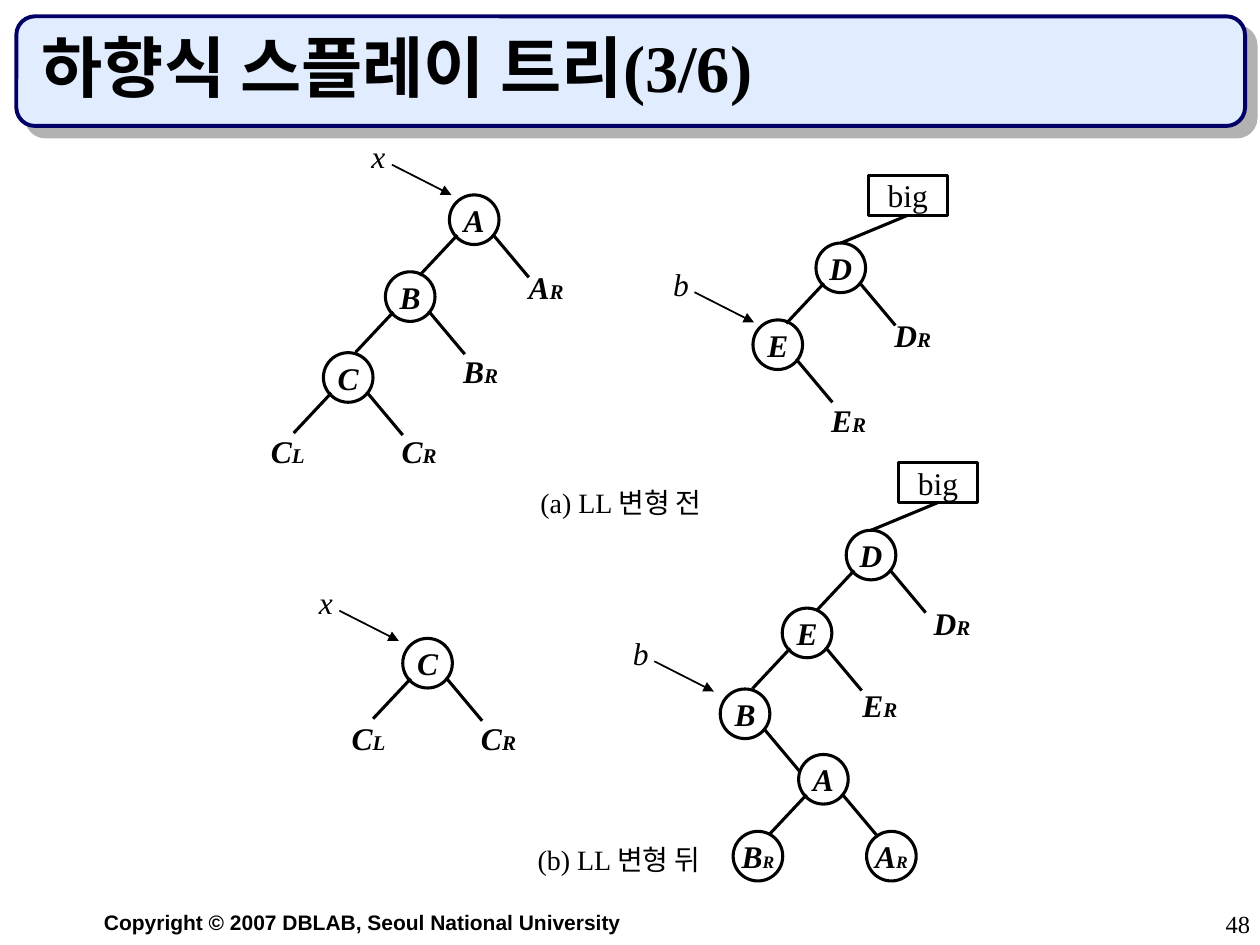
"""Build the slide on the LL rotation of a top-down splay tree."""
import dataclasses

import pptx
import pptx.dml.color
import pptx.enum.shapes
import pptx.enum.text
import pptx.oxml
import pptx.oxml.ns
import pptx.util

Cm = pptx.util.Cm
Pt = pptx.util.Pt
RGB = pptx.dml.color.RGBColor
Shape = pptx.enum.shapes.MSO_SHAPE
Align = pptx.enum.text.PP_ALIGN
Anchor = pptx.enum.text.MSO_ANCHOR
NAMESPACE = pptx.oxml.ns.nsdecls("a")


@dataclasses.dataclass(frozen=True)
class Theme:
    ink: RGB = RGB(0, 0, 0)
    banner: RGB = RGB(0xE1, 0xEC, 0xFF)
    border: RGB = RGB(0, 0, 0x66)
    shadow: str = "B2B2B2"
    serif: str = "Times New Roman"
    sans: str = "Arial"
    title: int = 38
    label: int = 18
    caption: int = 16
    number: int = 14
    small: int = 12
    tiny: int = 10
    edge: float = 1.75
    arrow: float = 1
    frame: float = 2.25


theme = Theme()
deck = pptx.Presentation()
deck.slide_width, deck.slide_height = Cm(25.4), Cm(19.05)
page = deck.slides.add_slide(deck.slide_layouts[6])


def write(box, spans, align=Align.CENTER, anchor=Anchor.MIDDLE, inset=0, wrap=False, **font):
    """Put (text, size) spans in a box with one font style."""
    frame = box.text_frame
    layout = {"word_wrap": wrap, "vertical_anchor": anchor}
    layout |= {f"margin_{side}": Cm(inset) for side in ("left", "right", "top", "bottom")}
    for name, value in layout.items():
        setattr(frame, name, value)
    para = frame.paragraphs[0]
    para.alignment = align
    for text, size in spans:
        span = para.add_run()
        span.text = text
        for name, value in ({"name": theme.serif, "size": Pt(size)} | font).items():
            setattr(span.font, name, value)
        span.font.color.rgb = theme.ink


def connect(x1, y1, x2, y2, width=theme.edge):
    """Draw a plain straight line and return it."""
    line = page.shapes.add_connector(
        pptx.enum.shapes.MSO_CONNECTOR.STRAIGHT, Cm(x1), Cm(y1), Cm(x2), Cm(y2))
    line.line.color.rgb = theme.ink
    line.line.width = Pt(width)
    line._element.spPr.append(pptx.oxml.parse_xml(f"<a:effectLst {NAMESPACE}/>"))
    return line


banner = page.shapes.add_shape(Shape.ROUNDED_RECTANGLE, Cm(0.33), Cm(0.33), Cm(24.77), Cm(2.21))
banner.adjustments[0] = 0.17
banner.fill.solid()
banner.fill.fore_color.rgb = theme.banner
banner.line.color.rgb = theme.border
banner.line.width = Pt(theme.frame)
banner.shadow.inherit = False
effects = banner._element.spPr.find(pptx.oxml.ns.qn("a:effectLst"))
effects.append(pptx.oxml.parse_xml(
    f'<a:outerShdw {NAMESPACE} blurRad="0" dist="{Pt(8.5)}" dir="2700000" algn="ctr" '
    f'rotWithShape="0"><a:srgbClr val="{theme.shadow}"/></a:outerShdw>'))

title = page.shapes.add_textbox(Cm(0.64), Cm(0.64), Cm(23.93), Cm(1.7))
write(title, [("하향식 스플레이 트리(3/6)", theme.title)], Align.LEFT, Anchor.BOTTOM, 0.2, True, bold=True)
footer = page.shapes.add_textbox(Cm(0.64), Cm(18.21), Cm(13.34), Cm(0.76))
write(footer, [("Copyright © 2007 DBLAB, Seoul National University", theme.small)],
      wrap=True, name=theme.sans, bold=True)
number = page.shapes.add_textbox(Cm(20.12), Cm(18.21), Cm(5.28), Cm(0.84))
write(number, [("48", theme.number)], Align.RIGHT, inset=0.2, wrap=True)

nodes = [
    ("A", 9.56, 4.43, "LR"), ("B", 8.27, 5.98, "LR"), ("C", 7.02, 7.61, "LR"),
    ("D", 16.95, 5.4, "LR"), ("E", 15.68, 6.95, "R"),
    ("C", 8.62, 13.37, "LR"),
    ("D", 17.56, 11.19, "LR"), ("E", 16.27, 12.76, "LR"), ("B", 15.02, 14.39, "R"),
    ("A", 16.6, 15.71, "LR"), ("BR", 15.28, 17.26, ""), ("AR", 17.97, 17.26, ""),
]
branches = {"L": (-0.34, 0.31, -1.1, 1.12), "R": (0.37, 0.29, 1.1, 1.16)}
for name, x, y, sides in nodes:
    for side in sides:
        dx1, dy1, dx2, dy2 = branches[side]
        connect(x + dx1, y + dy1, x + dx2, y + dy2)

diameter = 1
roots = []
for name, x, y, sides in nodes:
    node = page.shapes.add_shape(
        Shape.OVAL, Cm(x - diameter / 2), Cm(y - diameter / 2), Cm(diameter), Cm(diameter))
    node.fill.background()
    node.line.color.rgb = theme.ink
    node.line.width = Pt(theme.edge)
    node.shadow.inherit = False
    write(node, list(zip(name, (theme.label, theme.tiny))), bold=True, italic=True)
    if name == "D":
        roots.append(node)

for root, (x, y) in zip(roots, [(18.3, 3.94), (18.91, 9.73)]):
    big = page.shapes.add_shape(Shape.RECTANGLE, Cm(x - 0.8), Cm(y - 0.4), Cm(1.6), Cm(0.8))
    big.fill.background()
    big.line.color.rgb = theme.ink
    big.line.width = Pt(theme.edge)
    big.shadow.inherit = False
    write(big, [("big", theme.label)])
    link = connect(x, y, x, y)
    link.begin_connect(big, 2)
    link.end_connect(root, 0)

subtrees = [
    ("AR", 11.01, 5.79), ("BR", 9.69, 7.47), ("CR", 8.45, 9.09), ("CL", 5.8, 9.09),
    ("DR", 18.4, 6.76), ("ER", 17.11, 8.46), ("CL", 7.43, 14.88), ("CR", 10.05, 14.88),
    ("DR", 19.19, 12.55), ("ER", 17.74, 14.22),
]
for name, x, y in subtrees:
    box = page.shapes.add_textbox(Cm(x - 0.7), Cm(y - 0.43), Cm(1.4), Cm(0.86))
    write(box, list(zip(name, (theme.label, theme.small))), bold=True, italic=True)

pointers = [("x", 7.63, 3.15), ("b", 13.73, 5.72), ("x", 6.57, 12.14), ("b", 12.92, 13.16)]
for name, x, y in pointers:
    box = page.shapes.add_textbox(Cm(x - 0.7), Cm(y - 0.43), Cm(1.4), Cm(0.86))
    write(box, [(name, theme.label)], italic=True)
    arrow = connect(x + 0.27, y + 0.17, x + 1.47, y + 0.78, theme.arrow)
    arrow.line._get_or_add_ln().append(
        pptx.oxml.parse_xml(f'<a:tailEnd {NAMESPACE} type="triangle"/>'))

for text, x, y in [("(a) LL 변형 전", 12.52, 10.13), ("(b) LL 변형 뒤", 12.48, 17.32)]:
    box = page.shapes.add_textbox(Cm(x - 1.96), Cm(y - 0.4), Cm(3.92), Cm(0.8))
    write(box, [(text, theme.caption)])

deck.save("out.pptx")
